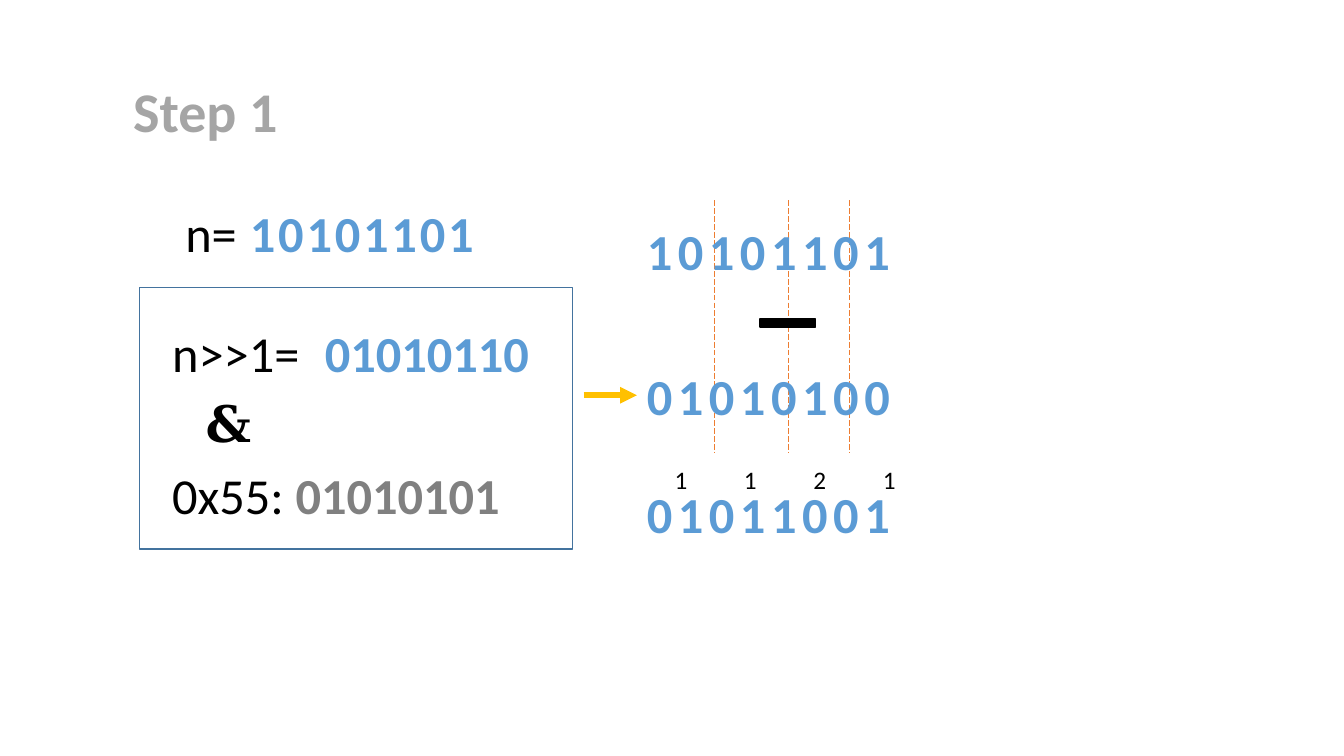
from pptx import Presentation
from pptx.dml.color import RGBColor as Rgb
from pptx.enum.dml import MSO_LINE as Dash
from pptx.enum.shapes import MSO_CONNECTOR as Link, MSO_SHAPE as Form
from pptx.enum.text import MSO_ANCHOR as Anchor, MSO_AUTO_SIZE as Fit, PP_ALIGN as Align
from pptx.oxml.ns import qn
from pptx.util import Cm, Pt
from lxml.etree import SubElement as Sub

BLUE, GRAY, BLACK = "5B9BD5", "808080", "000000"


def write(box, text, color, size=36, bold=False, align=Align.LEFT,
          face="Calibri", gap=0, wrap=False):
    """Fill a box with one line; gap is the letter spacing in points."""
    frame = box.text_frame
    frame.word_wrap = wrap
    frame.auto_size = Fit.SHAPE_TO_FIT_TEXT
    line = frame.paragraphs[0]
    line.alignment = align
    font = line.font
    font.name, font.size, font.bold = face, Pt(size), bold
    font.color.rgb = Rgb.from_string(color)
    run = line.add_run()
    run.text = text
    if gap:
        run._r.get_or_add_rPr().set("spc", str(gap * 100))
    return line


def rule(x1, y1, x2, y2, color, width):
    line = slide.shapes.add_connector(Link.STRAIGHT, Cm(x1), Cm(y1), Cm(x2), Cm(y2))
    line.line.color.rgb = Rgb.from_string(color)
    line.line.width = Pt(width)
    Sub(line._element.spPr, qn("a:effectLst"))
    return line


deck = Presentation()
deck.slide_width, deck.slide_height = Cm(33.87), Cm(19.05)
slide = deck.slides.add_slide(deck.slide_layouts[5])
shapes = slide.shapes

# Title
title = shapes.title
title.left, title.top, title.width, title.height = Cm(2.84), Cm(1.8), Cm(4.67), Cm(1.96)
title.text_frame.vertical_anchor = Anchor.TOP
write(title, "Step 1", "A5A5A5", 40, True, Align.CENTER)

# Dividers between the bit pairs
for x in (18.01, 19.86, 21.41):
    rule(x, 5.05, x, 11.4, "ED7D31", 0.5).line.dash_style = Dash.LONG_DASH

# The number n
name = shapes.add_textbox(Cm(4.42), Cm(4.98), Cm(1.88), Cm(1.8))
write(name, "n=", BLACK)
value = shapes.add_textbox(Cm(6.05), Cm(4.98), Cm(7.04), Cm(1.8))
write(value, "10101101", BLUE, bold=True, align=Align.JUSTIFY, gap=2)

# Shift and mask, framed
mask = shapes.add_group_shape().shapes
bits = mask.add_textbox(Cm(7.54), Cm(7.98), Cm(6.45), Cm(1.8))
write(bits, "01010110", BLUE, bold=True, align=Align.CENTER)
shift = mask.add_textbox(Cm(4.09), Cm(7.98), Cm(3.86), Cm(1.8))
write(shift, "n>>1=", BLACK)
hexa = mask.add_textbox(Cm(4.09), Cm(11.56), Cm(9.96), Cm(1.8))
run = write(hexa, "0x55: ", BLACK).add_run()
run.text = "01010101"
run.font.bold = True
run.font.color.rgb = Rgb.from_string(GRAY)
amp = mask.add_textbox(Cm(4.93), Cm(9.75), Cm(1.42), Cm(1.8))
write(amp, "&", BLACK, bold=True, align=Align.CENTER, face="DejaVu Serif", wrap=True)
frame = mask.add_shape(Form.RECTANGLE, Cm(3.51), Cm(7.24), Cm(10.92), Cm(6.6))
frame.shadow.inherit = False
frame.fill.background()
frame.line.color.rgb = Rgb.from_string("43739E")
frame.line.width = Pt(1)

# Subtraction
for text, top in (("10101101", 5.41), ("01010100", 9.07), ("01011001", 12.04)):
    row = shapes.add_textbox(Cm(16.05), Cm(top), Cm(7.59), Cm(1.8))
    write(row, text, BLUE, bold=True, align=Align.JUSTIFY, gap=4)

minus = shapes.add_shape(Form.MATH_MINUS, Cm(18.9), Cm(7.72), Cm(1.9), Cm(0.84))
minus.shadow.inherit = False
minus.fill.solid()
minus.fill.fore_color.rgb = minus.line.color.rgb = Rgb.from_string(BLACK)
minus.line.width = Pt(1)

arrow = rule(14.71, 9.96, 16.05, 9.96, "FFC000", 4)
Sub(arrow.line._get_or_add_ln(), qn("a:tailEnd"), type="triangle")

# Ones counted in each pair
for i, count in enumerate("1121"):
    box = shapes.add_textbox(Cm(16.75 + 1.75 * i), Cm(11.58), Cm(0.84), Cm(1.02))
    write(box, count, BLACK, 18)

deck.save("out.pptx")
